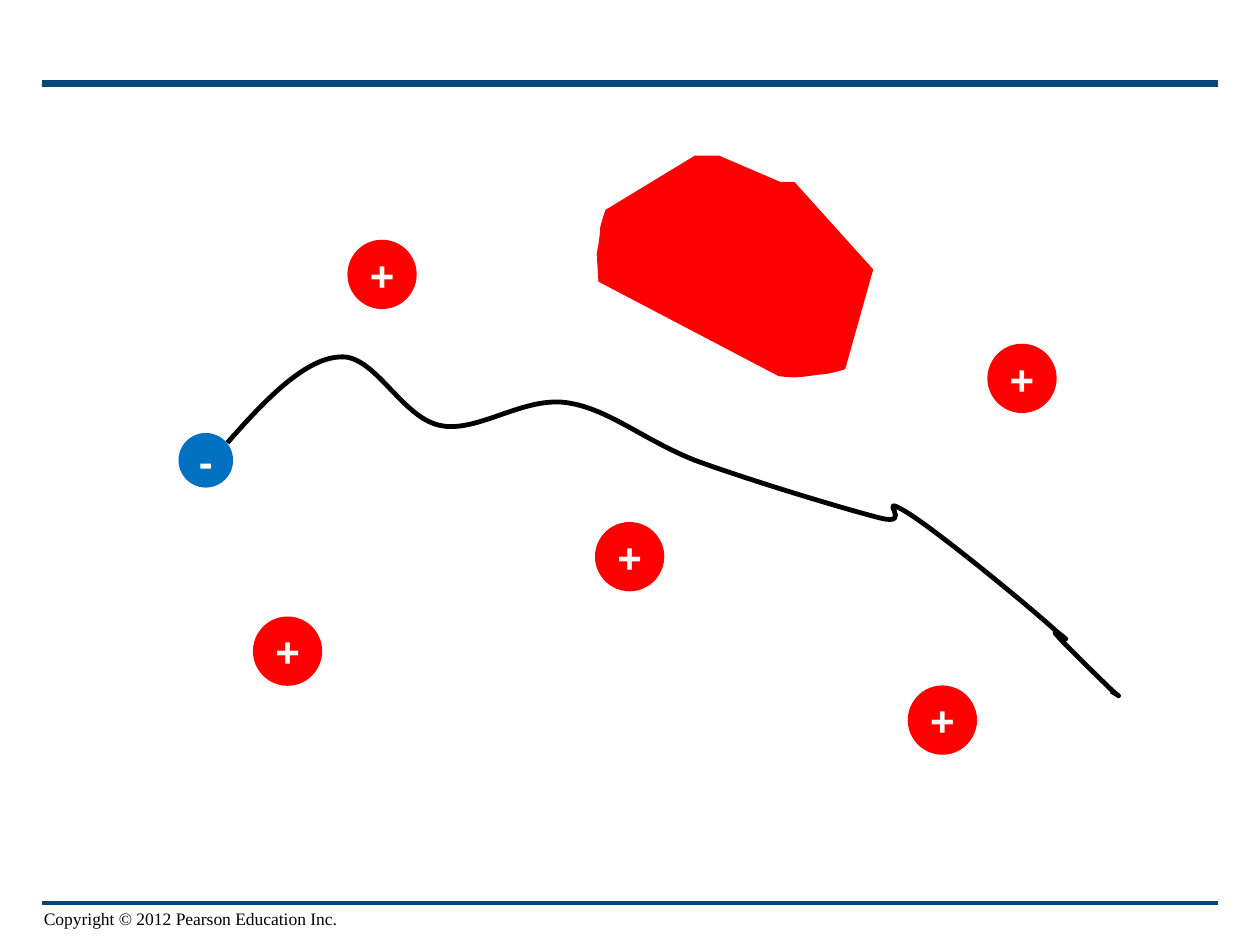
import pptx
import pptx.util
import pptx.dml.color
import pptx.enum.shapes
import pptx.enum.text
import pptx.oxml.ns
import pptx.oxml.xmlchemy
import lxml.etree

Pt = pptx.util.Pt
RGB = pptx.dml.color.RGBColor
qn = pptx.oxml.ns.qn
ALIGN = pptx.enum.text.PP_ALIGN
ANCHOR = pptx.enum.text.MSO_ANCHOR

BLACK = RGB(0x00, 0x00, 0x00)
WHITE = RGB(0xFF, 0xFF, 0xFF)
RED = RGB(0xFF, 0x00, 0x00)
BLUE = RGB(0x00, 0x70, 0xC0)
NAVY = RGB(0x00, 0x48, 0x7A)


def style(font, color, form):
    font.color.rgb = color
    for key, value in form.items():
        setattr(font, key, value)


def trace(shapes, start, parts, close):
    """Draw an outline; a part with one point is a line, with three a curve."""
    pen = shapes.build_freeform(*start, scale=Pt(1))
    pen.add_line_segments([spot for part in parts for spot in part], close)
    shape = pen.convert_to_shape()
    shape.shadow.inherit = False
    nodes = iter(list(shape.element.iter(qn("a:lnTo"))))
    for part in parts:
        first, *rest = [next(nodes) for _ in part]
        if rest:
            first.tag = qn("a:cubicBezTo")
        for node in rest:
            first.append(node[0])
            node.getparent().remove(node)
    return shape


deck = pptx.Presentation()
deck.slide_width, deck.slide_height = Pt(720), Pt(540)
slide = deck.slides.add_slide(deck.slide_layouts[6])
shapes = slide.shapes

# Copyright line
box = shapes.add_textbox(Pt(18), Pt(514.8), Pt(432), Pt(19.4))
frame = box.text_frame
frame.word_wrap = True
frame.vertical_anchor = ANCHOR.BOTTOM
frame.text = "Copyright © 2012 Pearson Education Inc."
style(frame.paragraphs[0].runs[0].font, BLACK,
      {"name": "Times New Roman", "size": Pt(10)})

# Rules at foot and head
for y, width in [(516, 2), (48, 4)]:
    rule = shapes.add_connector(pptx.enum.shapes.MSO_CONNECTOR.STRAIGHT,
                                Pt(24), Pt(y), Pt(696), Pt(y))
    rule.line.color.rgb = NAVY
    rule.line.width = Pt(width)
    lxml.etree.SubElement(rule.element.spPr, qn("a:effectLst"))

# Charges: left, top, size, fill, sign
charges = [
    (198.5, 137, 39.6, RED, "+"),
    (144.5, 352.3, 39.6, RED, "+"),
    (340, 298.3, 39.6, RED, "+"),
    (564.2, 196.4, 39.6, RED, "+"),
    (518.7, 391.7, 39.6, RED, "+"),
    (102, 247.4, 31.2, BLUE, "-"),
]
for x, y, size, color, sign in charges:
    ball = shapes.add_shape(pptx.enum.shapes.MSO_SHAPE.OVAL,
                            Pt(x), Pt(y), Pt(size), Pt(size))
    ball.shadow.inherit = False
    ball.fill.solid()
    ball.fill.fore_color.rgb = color
    ball.line.fill.background()
    frame = ball.text_frame
    frame.word_wrap = False
    frame.vertical_anchor = ANCHOR.MIDDLE
    frame.text = sign
    para = frame.paragraphs[0]
    para.alignment = ALIGN.CENTER
    style(para.runs[0].font, WHITE,
          {"name": "Arial", "size": Pt(24), "bold": True})

# Path of the negative charge
bends = [
    [(151.2, 229), (173.5, 205.2), (193.7, 203.8)],
    [(213.8, 202.3), (229, 238.3), (250.6, 242.6)],
    [(272.2, 247.7), (298.1, 226.8), (322.6, 230.4)],
    [(347, 233.3), (367.2, 251.3), (397.4, 262.8)],
    [(427, 273.6), (483.1, 290.9), (503.3, 295.9)],
    [(523.4, 301), (500.4, 281.5), (517, 292.3)],
    [(534.2, 302.4), (589.7, 348.5), (604.1, 360.7)],
    [(618.5, 372.2), (598.3, 357.1), (604.1, 362.9)],
    [(609.1, 368.6), (636.5, 394.6), (636.5, 394.6)],
    [(641.5, 400.3), (638.6, 397.4), (635, 394.6)],
]
track = trace(shapes, (129.6, 252.7), bends, False)
track.fill.background()
track.line.color.rgb = BLACK
track.line.width = Pt(2.75)

# Red block
sides = [
    [(344.9, 123.1), (344.2, 126), (343.4, 129.6)],
    [(342.7, 134.6), (341.3, 144.7), (341.3, 144.7)],
    [(342, 161.3)],
    [(445, 215.3)],
    [(455, 216), (453.6, 216), (468.7, 213.8)],
    [(473.8, 213.8), (483.1, 211), (483.1, 211)],
    [(499, 154.1)],
    [(454.3, 103.7)],
    [(446.4, 103.7)],
    [(411.1, 89.3)],
    [(397.4, 89.3)],
]
block = trace(shapes, (345.6, 119.5), sides, True)
block.fill.solid()
block.fill.fore_color.rgb = RED
block.line.fill.background()

deck.save("out.pptx")
